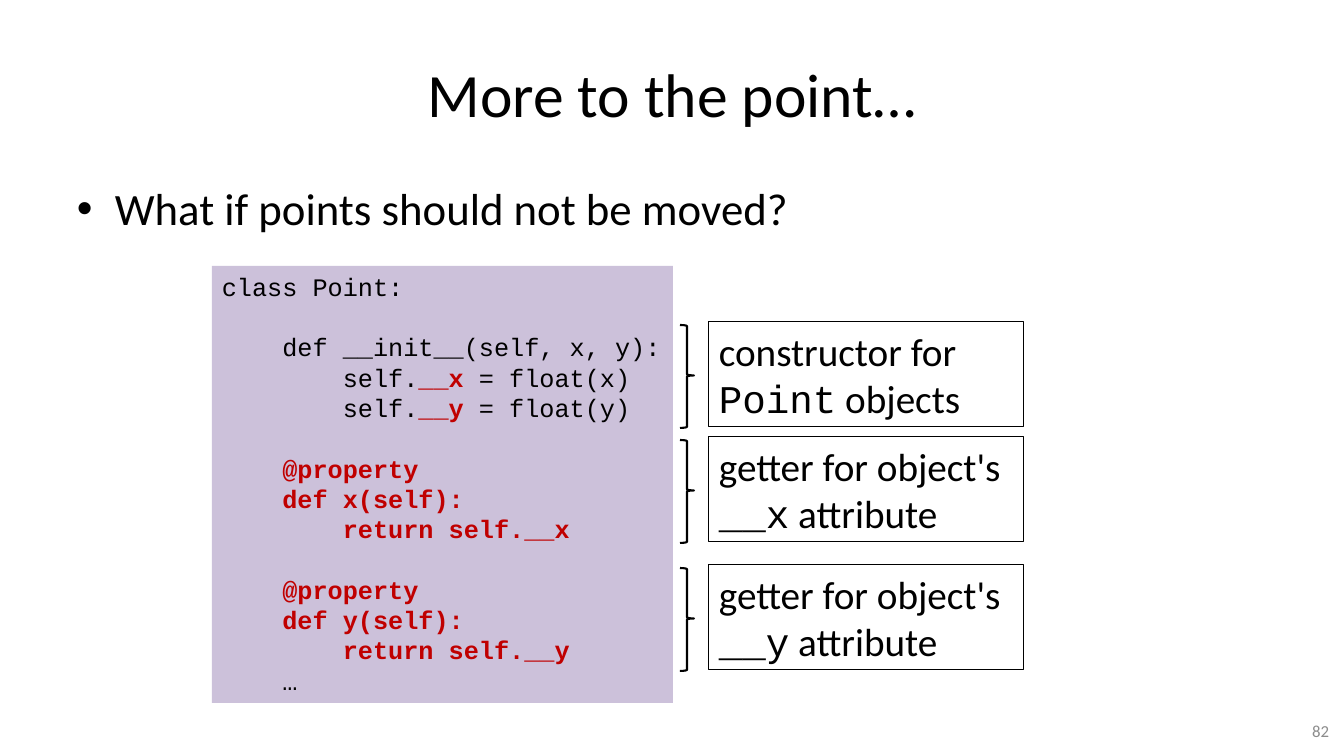
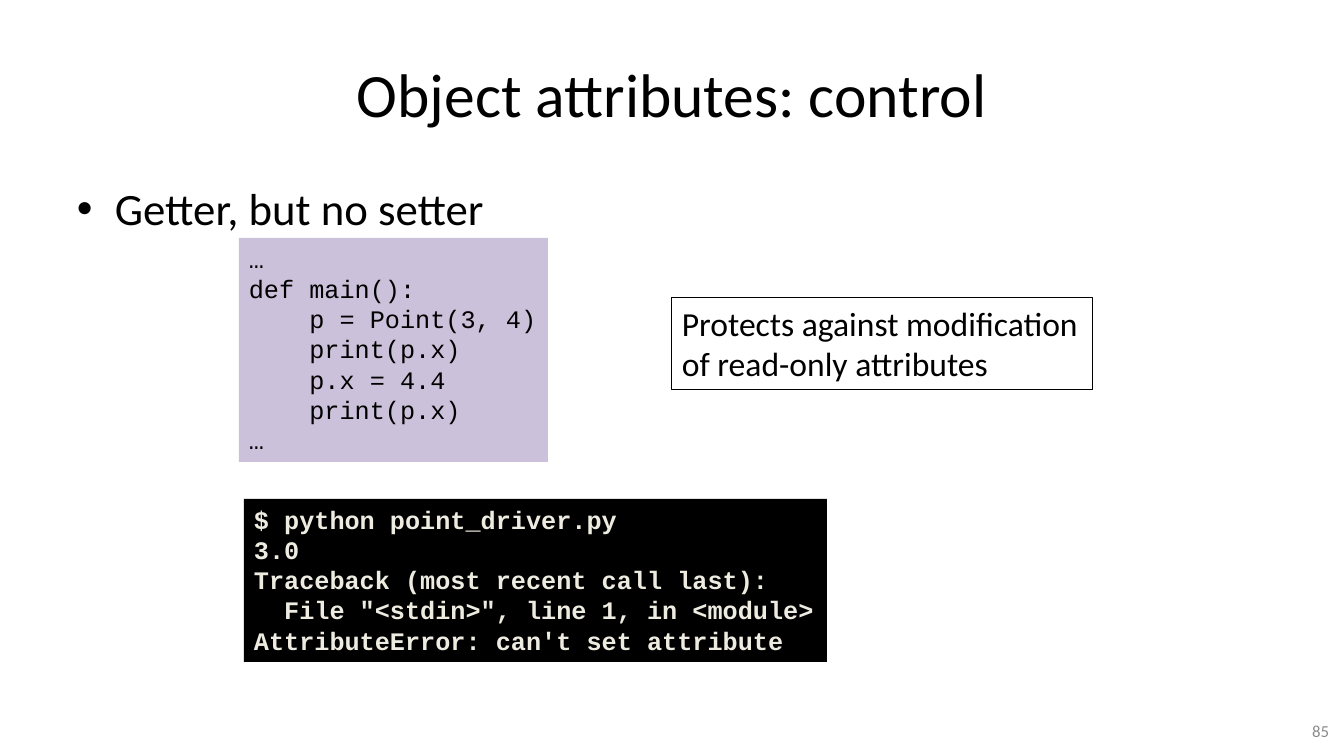
import lxml.etree
import pptx
import pptx.dml.color
import pptx.enum.shapes
import pptx.enum.text
import pptx.oxml.ns
import pptx.util

# Shared look
SLIDE_WIDTH, SLIDE_HEIGHT = 1344, 756
EMU_PER_PX = 12192000 / SLIDE_WIDTH
COLORS = {
    "ink": "000000",
    "paper": "FFFFFF",
    "code": "CCC1DA",
    "accent": "C00000",
    "terminal": "000000",
    "terminal_text": "EEECE1",
    "number": "8C8C8C",
}
SANS, MONO = "Calibri", "Courier New"
# Style: font, size in points, colour, bold
STYLES = {
    "title": (SANS, 44, "ink", False),
    "bullet": (SANS, 32, "ink", False),
    "number": (SANS, 12, "number", False),
    "code": (MONO, 18, "ink", False),
    "changed": (MONO, 18, "accent", True),
    "terminal": (MONO, 18, "terminal_text", True),
    "label": (SANS, 28, "ink", False),
    "label_code": (MONO, 28, "ink", False),
    "remark": (SANS, 24, "ink", False),
}
TITLE_BOX = (67, 30, 1210, 126)
BULLET_BOX = (67, 176, 1210, 70)
BULLET_INDENT = 38
NUMBER_BOX = (1025, 711, 314, 40)
CODE_LINE_POINTS = 21.8

# Annotations beside the class code
BRACE_LEFT, BRACE_WIDTH, BRACE_HEIGHT, BRACE_DROP = 680, 14, 103, 3
LABEL_LEFT, LABEL_WIDTH, LABEL_HEIGHT = 709, 315, 105

# Content: a line is a list of (text, style) runs, an empty line is a gap
CLASS_CODE = [
    [("class Point:", "code")],
    [],
    [("    def __init__(self, x, y):", "code")],
    [("        self.", "code"), ("__x", "changed"), (" = float(x)", "code")],
    [("        self.", "code"), ("__y", "changed"), (" = float(y)", "code")],
    [],
    [("    @property", "changed")],
    [("    def x(self):", "changed")],
    [("        return self.__x", "changed")],
    [],
    [("    @property", "changed")],
    [("    def y(self):", "changed")],
    [("        return self.__y", "changed")],
    [("    …", "code")],
]
MAIN_CODE = [[(line, "code")] for line in (
    "…",
    "def main():",
    "    p = Point(3, 4)",
    "    print(p.x)",
    "    p.x = 4.4",
    "    print(p.x)",
    "…",
)]
TERMINAL_OUTPUT = [[(line, "terminal")] for line in (
    "$ python point_driver.py",
    "3.0",
    "Traceback (most recent call last):",
    '  File "<stdin>", line 1, in <module>',
    "AttributeError: can't set attribute",
)]
SLIDES = [
    {
        "title": "More to the point…",
        "bullet": "What if points should not be moved?",
        "number": "82",
        "listings": [((212, 266, 461, 437), "code", CLASS_CODE)],
        # top, first line, code word, rest of second line
        "annotations": [
            (322, "constructor for", "Point", " objects"),
            (437, "getter for object's", "__x", " attribute"),
            (565, "getter for object's", "__y", " attribute"),
        ],
        "remarks": [],
    },
    {
        "title": "Object attributes: control",
        "bullet": "Getter, but no setter",
        "number": "85",
        "listings": [
            ((239, 238, 309, 224), "code", MAIN_CODE),
            ((244, 499, 583, 163), "terminal", TERMINAL_OUTPUT),
        ],
        "annotations": [],
        "remarks": [
            ((672, 298, 421, 92),
             [[("Protects against modification", "remark")],
              [("of read-only attributes", "remark")]]),
        ],
    },
]


def px(length):
    return pptx.util.Emu(round(length * EMU_PER_PX))


def rgb(name):
    return pptx.dml.color.RGBColor.from_string(COLORS[name])


def add_run(paragraph, text, style):
    name, size, color, bold = STYLES[style]
    run = paragraph.add_run()
    run.text = text
    run.font.name = name
    run.font.size = pptx.util.Pt(size)
    run.font.bold = bold
    run.font.color.rgb = rgb(color)


def add_broken_lines(paragraph, lines):
    for index, runs in enumerate(lines):
        if index:
            paragraph.add_line_break()
        for text, style in runs:
            add_run(paragraph, text, style)


def add_preset(shapes, kind, box, fill=None, line_points=None):
    shape = shapes.add_shape(kind, *map(px, box))
    shape.shadow.inherit = False
    if fill:
        shape.fill.solid()
        shape.fill.fore_color.rgb = rgb(fill)
    else:
        shape.fill.background()
    if line_points:
        shape.line.color.rgb = rgb("ink")
        shape.line.width = pptx.util.Pt(line_points)
    else:
        shape.line.fill.background()
    return shape


def add_panel(shapes, box, fill=None, line_points=None, wrap=True):
    shape = add_preset(shapes, pptx.enum.shapes.MSO_SHAPE.RECTANGLE, box, fill, line_points)
    frame = shape.text_frame
    frame.word_wrap = wrap
    frame.vertical_anchor = pptx.enum.text.MSO_ANCHOR.TOP
    frame.paragraphs[0].alignment = pptx.enum.text.PP_ALIGN.LEFT
    return frame


def add_title(slide, text):
    title = slide.shapes.title
    title.left, title.top, title.width, title.height = map(px, TITLE_BOX)
    title.text_frame.vertical_anchor = pptx.enum.text.MSO_ANCHOR.MIDDLE
    paragraph = title.text_frame.paragraphs[0]
    paragraph.alignment = pptx.enum.text.PP_ALIGN.CENTER
    add_run(paragraph, text, "title")


def add_bullet(slide, text):
    frame = slide.shapes.add_textbox(*map(px, BULLET_BOX)).text_frame
    frame.word_wrap = True
    paragraph = frame.paragraphs[0]
    properties = paragraph._p.get_or_add_pPr()
    properties.set("marL", str(px(BULLET_INDENT)))
    properties.set("indent", str(-px(BULLET_INDENT)))
    qn = pptx.oxml.ns.qn
    lxml.etree.SubElement(properties, qn("a:buFont"), typeface="Arial")
    lxml.etree.SubElement(properties, qn("a:buChar"), char="•")
    add_run(paragraph, text, "bullet")


def add_number(slide, text):
    frame = slide.shapes.add_textbox(*map(px, NUMBER_BOX)).text_frame
    frame.word_wrap = True
    frame.vertical_anchor = pptx.enum.text.MSO_ANCHOR.MIDDLE
    paragraph = frame.paragraphs[0]
    paragraph.alignment = pptx.enum.text.PP_ALIGN.RIGHT
    add_run(paragraph, text, "number")


def add_listing(slide, box, fill, lines):
    frame = add_panel(slide.shapes, box, fill, wrap=False)
    paragraph, gap = frame.paragraphs[0], 0
    for index, runs in enumerate(lines):
        if not runs:
            gap += CODE_LINE_POINTS
            continue
        if index:
            paragraph = frame.add_paragraph()
            paragraph.alignment = pptx.enum.text.PP_ALIGN.LEFT
            paragraph.space_before = pptx.util.Pt(gap)
        gap = 0
        for text, style in runs:
            add_run(paragraph, text, style)


def add_annotation(slide, top, first_line, code_word, rest):
    shapes = slide.shapes.add_group_shape().shapes
    brace = add_preset(
        shapes, pptx.enum.shapes.MSO_SHAPE.RIGHT_BRACE,
        (BRACE_LEFT, top + BRACE_DROP, BRACE_WIDTH, BRACE_HEIGHT), line_points=1.5)
    brace.adjustments[0], brace.adjustments[1] = 0.08, 0.49
    frame = add_panel(shapes, (LABEL_LEFT, top, LABEL_WIDTH, LABEL_HEIGHT), "paper", 0.75)
    add_broken_lines(frame.paragraphs[0], [
        [(first_line, "label")],
        [(code_word, "label_code"), (rest, "label")],
    ])


def main():
    presentation = pptx.Presentation()
    presentation.slide_width = px(SLIDE_WIDTH)
    presentation.slide_height = px(SLIDE_HEIGHT)
    title_only = presentation.slide_layouts[5]
    for content in SLIDES:
        slide = presentation.slides.add_slide(title_only)
        add_title(slide, content["title"])
        add_bullet(slide, content["bullet"])
        add_number(slide, content["number"])
        for listing in content["listings"]:
            add_listing(slide, *listing)
        for annotation in content["annotations"]:
            add_annotation(slide, *annotation)
        for box, lines in content["remarks"]:
            frame = add_panel(slide.shapes, box, line_points=0.75)
            add_broken_lines(frame.paragraphs[0], lines)
    presentation.save("out.pptx")


if __name__ == "__main__":
    main()
